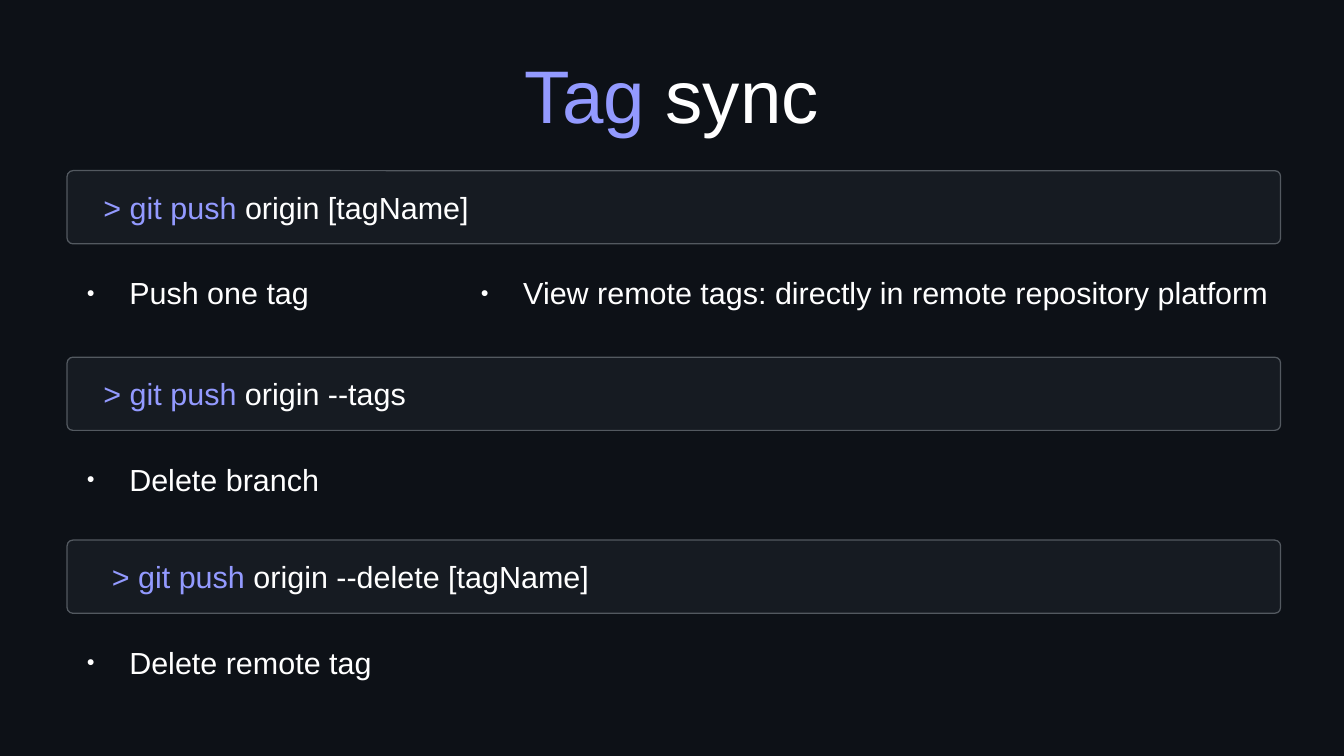
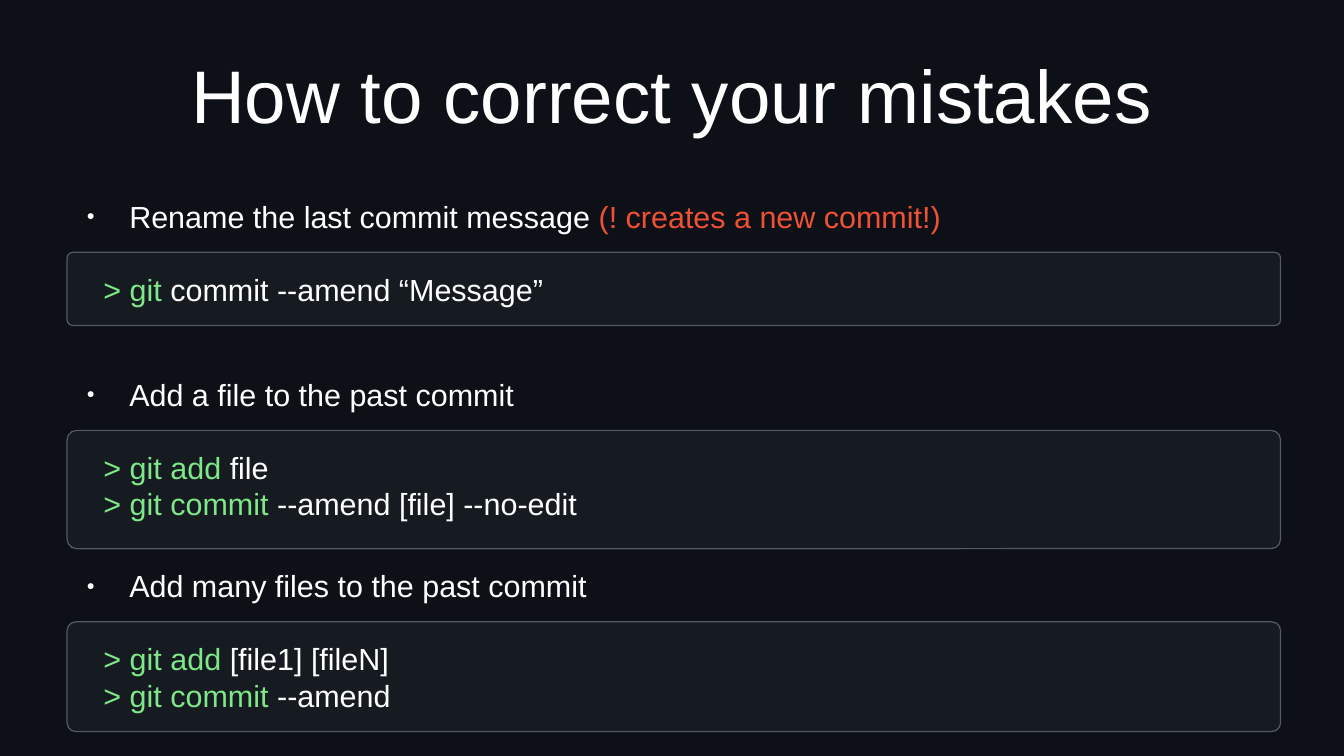
from lxml import etree
from pptx import Presentation
from pptx.dml.color import RGBColor
from pptx.enum.shapes import MSO_SHAPE
from pptx.enum.text import MSO_ANCHOR, MSO_AUTO_SIZE as FIT, PP_ALIGN
from pptx.oxml import parse_xml
from pptx.oxml.ns import nsdecls
from pptx.util import Inches, Pt

WHITE, VIOLET, GREEN, RED = "FFFFFF", "939AFF", "7EE787", "F05033"
BACK, BAR, EDGE = "0D1117", "161B22", "535960"
LEFT, BULLET_LEFT, WIDTH = 0.55, 0.59, 9.92
BULLET_XML = (
    f'<a:buClr {nsdecls("a")}><a:srgbClr val="{WHITE}"/></a:buClr>',
    f'<a:buSzPct {nsdecls("a")} val="45000"/>',
    f'<a:buFont {nsdecls("a")} typeface="Arial"/>',
    f'<a:buChar {nsdecls("a")} char="●"/>',
)


def rgb(value):
    return RGBColor.from_string(value)


def write(p, runs, size=18):
    """Add (text, colour) runs to a paragraph."""
    for text, colour in runs:
        r = p.add_run()
        r.text = text
        r.font.name, r.font.size, r.font.bold = "Arial", Pt(size), False
        r.font.color.rgb = rgb(colour)


# Bars: top, height, command lines as (accent part, plain part).
# Bullets: left, width, runs; each sits at a fixed offset from its bar's top.
slides = [
    {
        "title": [("Tag", VIOLET), (" sync", WHITE)],
        "accent": VIOLET,
        "offset": 0.85,
        "bullet_height": 0.5,
        "bars": [
            (1.4, 0.6, [("> git push ", "origin [tagName]")]),
            (2.93, 0.6, [("> git push", " origin --tags")]),
            (4.43, 0.6, [(" > git push", " origin --delete [tagName]")]),
        ],
        "bullets": [
            (0, BULLET_LEFT, 2.41, [("Push one tag", WHITE)]),
            (1, BULLET_LEFT, WIDTH, [("Delete branch", WHITE)]),
            (2, BULLET_LEFT, WIDTH, [("Delete remote tag", WHITE)]),
            (0, 3.82, 6.68, [("View remote tags: directly in remote "
                              "repository platform", WHITE)]),
        ],
    },
    {
        "title": [("How to correct your mistakes", WHITE)],
        "accent": GREEN,
        "offset": -0.45,
        "bullet_height": 0.59,
        "bars": [
            (2.07, 0.6, [("> git ", "commit --amend “Message”")]),
            (3.53, 0.97, [("> git add ", "file"),
                          ("> git commit ", "--amend [file] --no-edit")]),
            (5.1, 0.9, [("> git add ", "[file1] [fileN]"),
                        ("> git commit ", "--amend")]),
        ],
        "bullets": [
            (0, BULLET_LEFT, WIDTH, [("Rename the last commit message ", WHITE),
                                     ("(! creates a new commit!)", RED)]),
            (1, BULLET_LEFT, WIDTH, [("Add a file to the past commit", WHITE)]),
            (2, BULLET_LEFT, WIDTH, [("Add many files to the past commit", WHITE)]),
        ],
    },
]

prs = Presentation()
prs.slide_width, prs.slide_height = Inches(11.02), Inches(6.2)
fill = prs.slide_master.background.fill
fill.solid()
fill.fore_color.rgb = rgb(BACK)

# The Comparison layout offers a title and four body placeholders.
layout = prs.slide_layouts.get_by_name("Comparison")
for ph in layout.placeholders:
    tf = ph.text_frame
    tf.margin_left = tf.margin_right = tf.margin_top = tf.margin_bottom = 0
    tf.auto_size = FIT.NONE
    tf.vertical_anchor = MSO_ANCHOR.TOP
title = layout.placeholders[0]
title.left, title.top = Inches(LEFT), Inches(0.25)
title.width, title.height = Inches(WIDTH), Inches(1.04)
title.text_frame.vertical_anchor = MSO_ANCHOR.MIDDLE

for data in slides:
    slide = prs.slides.add_slide(layout)
    p = slide.shapes.title.text_frame.paragraphs[0]
    p.alignment = PP_ALIGN.CENTER
    write(p, data["title"], 44)

    for top, height, lines in data["bars"]:
        bar = slide.shapes.add_shape(
            MSO_SHAPE.ROUNDED_RECTANGLE,
            Inches(LEFT), Inches(top), Inches(9.95), Inches(height))
        bar.adjustments[0] = 0.08
        bar.shadow.inherit = False
        bar.fill.solid()
        bar.fill.fore_color.rgb = rgb(BAR)
        bar.line.color.rgb = rgb(EDGE)
        bar.line.width = Pt(0)

        box = slide.shapes.add_textbox(
            Inches(0.75), Inches(top + 0.1), Inches(9.75),
            Inches(0.1 + 0.28 * len(lines)))
        tf = box.text_frame
        tf.word_wrap = True
        tf.auto_size = FIT.SHAPE_TO_FIT_TEXT
        for i, (command, rest) in enumerate(lines):
            p = tf.add_paragraph() if i else tf.paragraphs[0]
            write(p, [(command, data["accent"]), (rest, WHITE)])

    bodies = list(slide.placeholders)[1:]
    for body, (row, left, width, runs) in zip(bodies, data["bullets"]):
        body.left, body.width = Inches(left), Inches(width)
        body.top = Inches(data["bars"][row][0] + data["offset"])
        body.height = Inches(data["bullet_height"])
        p = body.text_frame.paragraphs[0]
        p.space_before = Pt(14.2)
        pPr = p._p.get_or_add_pPr()
        pPr.set("marL", str(Inches(0.47)))
        pPr.set("indent", str(Inches(-0.35)))
        for xml in BULLET_XML:
            pPr.append(parse_xml(xml))
        write(p, runs)
    for body in bodies[len(data["bullets"]):]:
        body.element.getparent().remove(body.element)

prs.save("out.pptx")
